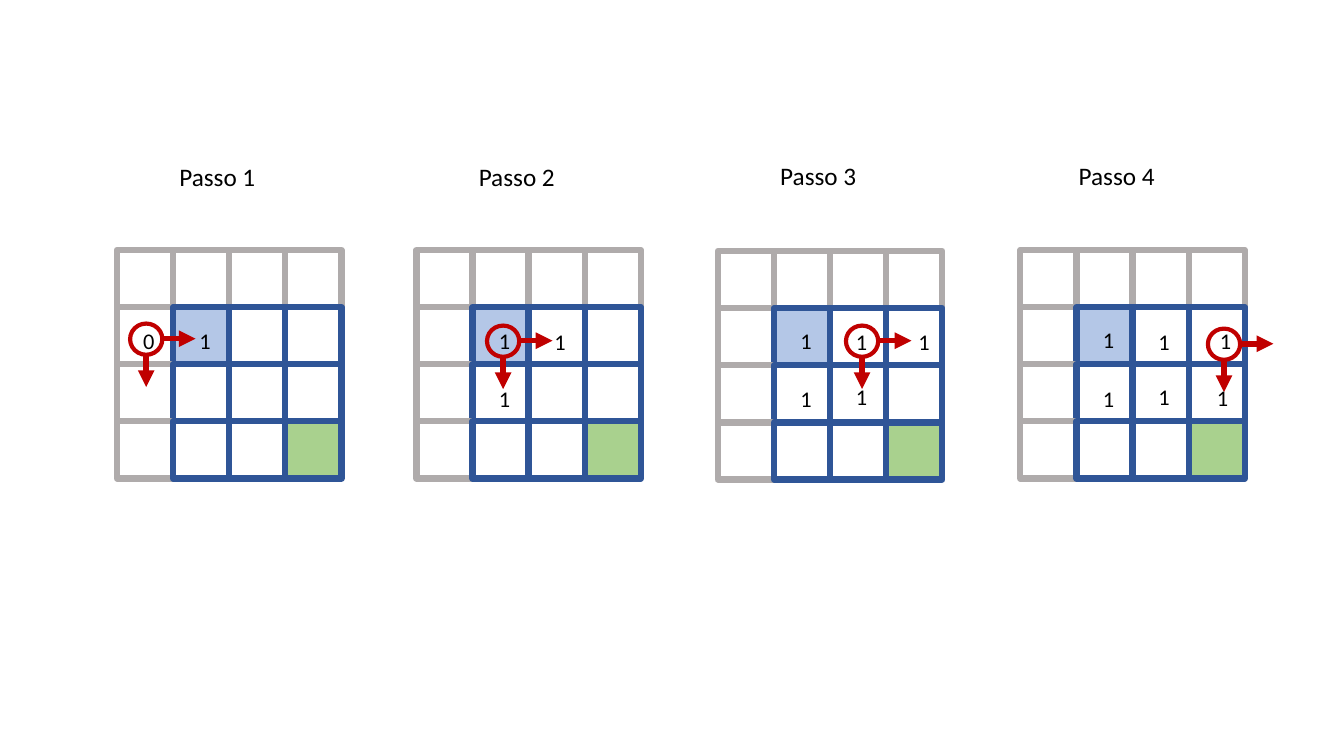
import pptx
import pptx.util
import pptx.dml.color
import pptx.enum.shapes
import pptx.enum.text
import pptx.oxml.ns
import lxml.etree

Inches = pptx.util.Inches
Shape = pptx.enum.shapes.MSO_SHAPE


class Board:
    """Holds the style and the current slide, and draws each kind of element."""

    colours = {"grey": "AFABAB", "navy": "2F5597", "start": "B4C7E7",
               "goal": "A9D18E", "red": "C00000", "ink": "000000"}
    font = "Calibri"

    def __init__(self, page):
        self.page = page

    def colour(self, name):
        return pptx.dml.color.RGBColor.from_string(self.colours[name])

    def apply(self, target, values):
        for name, value in values.items():
            setattr(target, name, value)

    def outline(self, item, colour, weight):
        item.line.color.rgb = self.colour(colour)
        item.line.width = pptx.util.Pt(weight)

    def shape(self, shapes, kind, place, line, weight, fill=None):
        shape = shapes.add_shape(kind, *map(Inches, place))
        shape.shadow.inherit = False
        self.outline(shape, line, weight)
        if fill:
            shape.fill.solid()
            shape.fill.fore_color.rgb = self.colour(fill)
        else:
            shape.fill.background()

    def arrow(self, shapes, start, end):
        kind = pptx.enum.shapes.MSO_CONNECTOR.STRAIGHT
        arrow = shapes.add_connector(kind, *map(Inches, start + end))
        self.outline(arrow, "red", 4)
        tag = pptx.oxml.ns.qn
        lxml.etree.SubElement(arrow.line._get_or_add_ln(), tag("a:tailEnd"), type="triangle")
        lxml.etree.SubElement(arrow._element.spPr, tag("a:effectLst"))

    def text(self, words, place, size):
        box = self.page.shapes.add_textbox(*map(Inches, place))
        self.apply(box.text_frame, {"word_wrap": True,
                                    "auto_size": pptx.enum.text.MSO_AUTO_SIZE.SHAPE_TO_FIT_TEXT})
        span = box.text_frame.paragraphs[0].add_run()
        span.text = words
        self.apply(span.font, {"name": self.font, "size": pptx.util.Pt(size)})
        span.font.color.rgb = self.colour("ink")

    def grid(self, left, top):
        fills = {(1, 1): "start", (3, 3): "goal"}
        width, height = 1.67 / 3, 1.7 / 3
        for row in range(4):
            for column in range(4):
                line = "navy" if row and column else "grey"
                place = (left + column * width, top + row * height, width, height)
                self.shape(self.page.shapes, Shape.RECTANGLE, place, line, 4.5,
                           fills.get((row, column)))

    def marker(self, left, top):
        shapes = self.page.shapes.add_group_shape().shapes
        self.shape(shapes, Shape.OVAL, (left, top, 0.32, 0.31), "red", 3)
        self.arrow(shapes, (left + 0.32, top + 0.15), (left + 0.65, top + 0.15))
        self.arrow(shapes, (left + 0.16, top + 0.32), (left + 0.16, top + 0.63))


deck = pptx.Presentation()
deck.slide_width, deck.slide_height = Inches(13.33), Inches(7.5)
board = Board(deck.slides.add_slide(deck.slide_layouts[6]))

steps = [
    {"grid": (1.16, 2.48), "title": (1.68, 1.55), "marker": (1.29, 3.21),
     "digits": [("0", 1.32, 3.2), ("1", 1.88, 3.2)]},
    {"grid": (4.13, 2.48), "title": (4.65, 1.55), "marker": (4.83, 3.23),
     "digits": [("1", 4.85, 3.2), ("1", 5.4, 3.21), ("1", 4.85, 3.77)]},
    {"grid": (7.12, 2.49), "title": (7.64, 1.54), "marker": (8.39, 3.23),
     "digits": [("1", 7.84, 3.2), ("1", 8.39, 3.21), ("1", 9.01, 3.21),
                ("1", 7.84, 3.77), ("1", 8.39, 3.75)]},
    {"grid": (10.12, 2.48), "title": (10.6, 1.54), "marker": (11.98, 3.26),
     "digits": [("1", 10.84, 3.19), ("1", 11.39, 3.21), ("1", 12, 3.2),
                ("1", 10.84, 3.77), ("1", 11.39, 3.75), ("1", 11.97, 3.76)]},
]

for number, step in enumerate(steps, 1):
    board.grid(*step["grid"])
    board.text(f"Passo {number}", step["title"] + (2.15, 0.4), 18)
    board.marker(*step["marker"])
    for digit, left, top in step["digits"]:
        board.text(digit, (left, top, 0.32, 0.37), 16)

deck.save("out.pptx")
